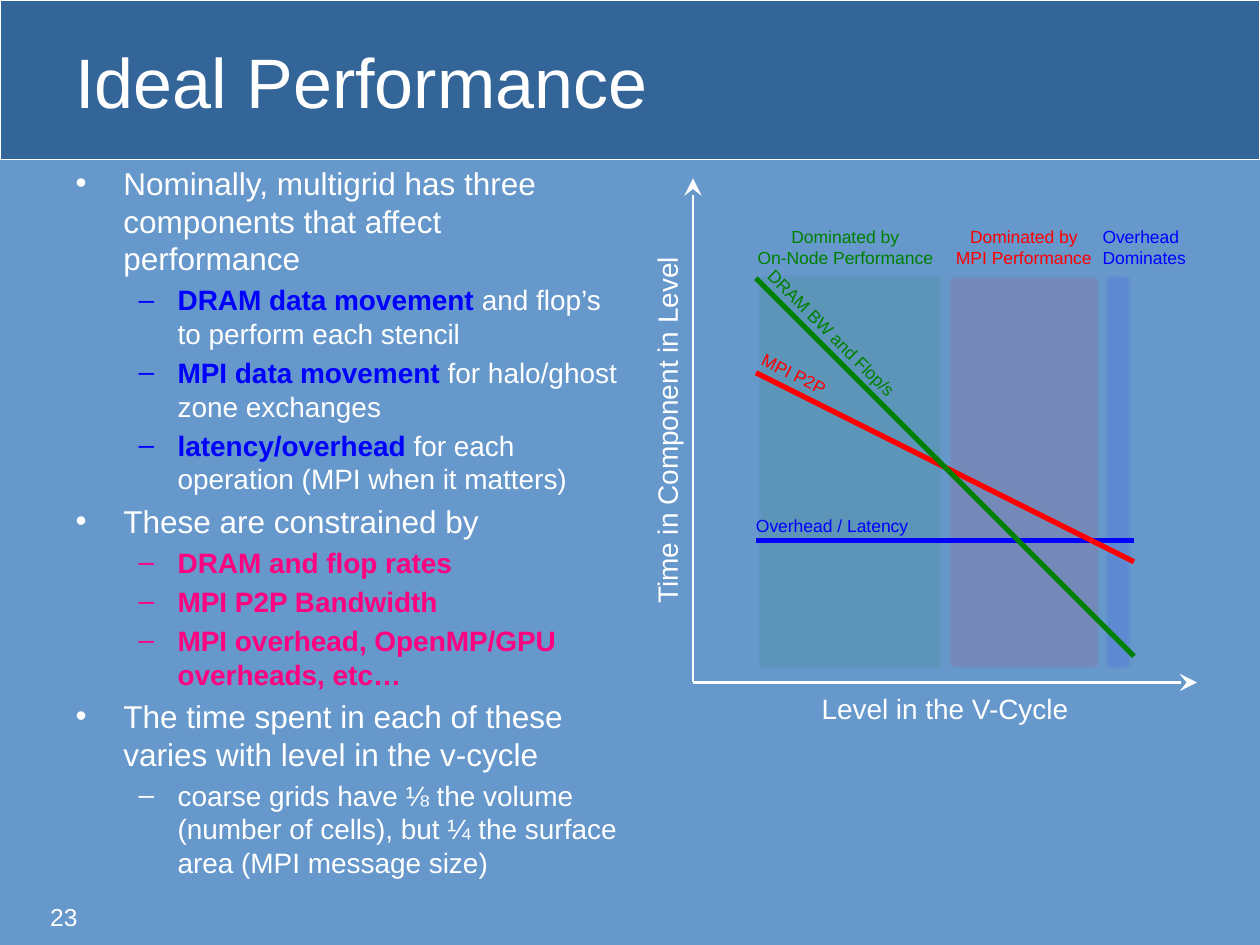
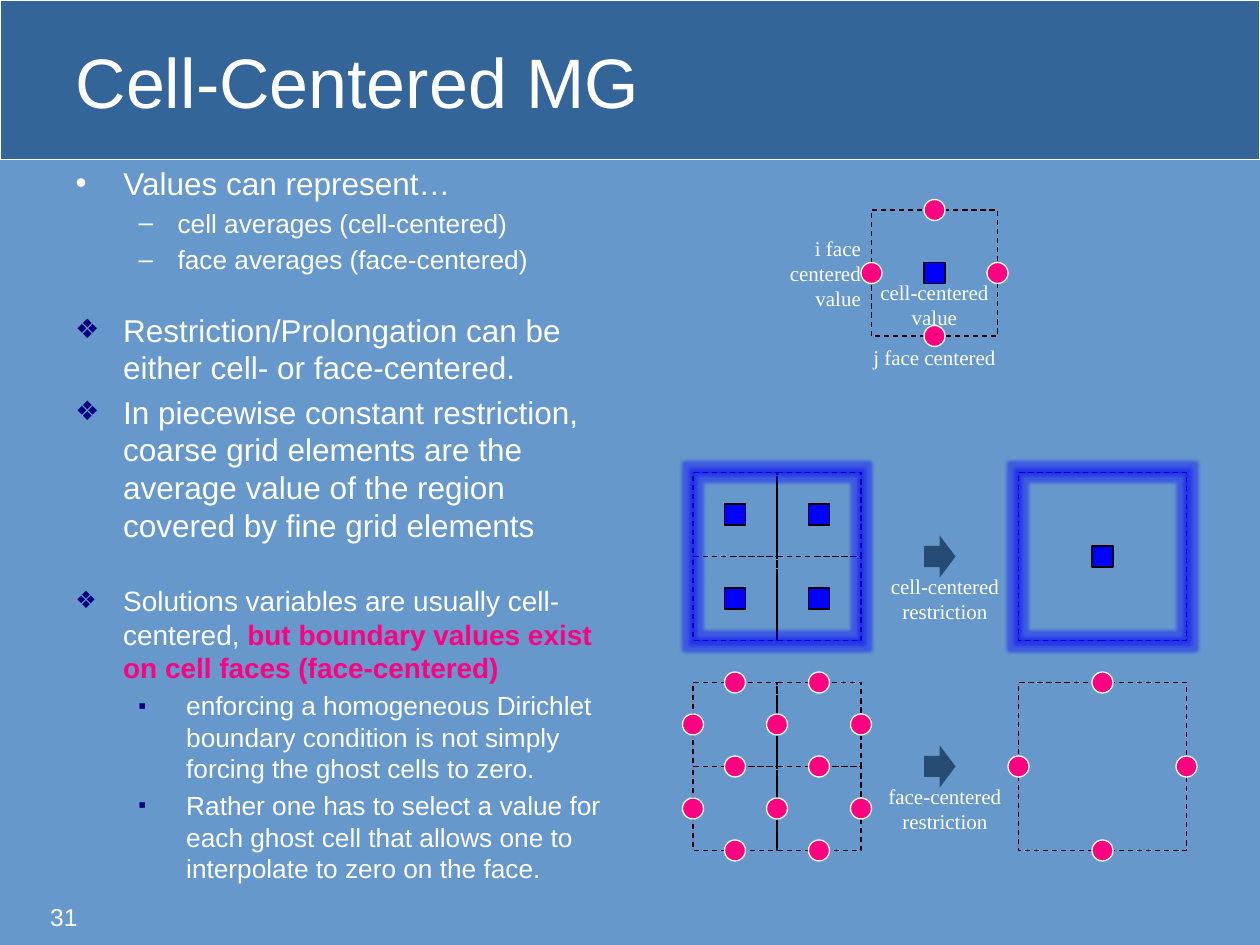
from lxml.etree import SubElement
from pptx import Presentation
from pptx.dml.color import RGBColor
from pptx.enum.dml import MSO_LINE
from pptx.enum.shapes import MSO_CONNECTOR, MSO_SHAPE as SHAPE
from pptx.enum.text import MSO_ANCHOR, MSO_AUTO_SIZE, PP_ALIGN as ALIGN
from pptx.oxml.ns import qn
from pptx.util import Inches, Pt

COLORS = {
    "sky": "6698CC", "header": "336599", "white": "FFFFFF", "black": "000000",
    "blue": "0000FF", "red": "FF0000", "green": "008000", "pink": "FF0080",
    "navy": "000080", "arrow": "264C73",
}
RGB = {name: RGBColor.from_string(value) for name, value in COLORS.items()}
SANS, SERIF = "Arial", "Times New Roman"
BULLETS = {
    "•": (0.38, 0.38, None, 100),
    "–": (0.81, 0.31, None, 100),
    "❖": (0.38, 0.38, "navy", 85),
    "▪": (0.88, 0.38, "navy", 85),
}

prs = Presentation()
prs.slide_width, prs.slide_height = Inches(10), Inches(7.5)
CELL = prs.slide_width / 120


def add_figure(slide, kind, x, y, w, h, fill=None, line=None, dash=None):
    figure = slide.shapes.add_shape(kind, *(round(v * CELL) for v in (x, y, w, h)))
    figure.shadow.inherit = False
    if fill:
        figure.fill.solid()
        figure.fill.fore_color.rgb = RGB[fill]
    else:
        figure.fill.background()
    if line:
        figure.line.color.rgb = RGB[line]
        figure.line.width = Pt(0.75)
        if dash:
            figure.line.dash_style = dash
    else:
        figure.line.fill.background()
    return figure


def write_list(frame, items):
    frame.word_wrap = True
    frame.auto_size = MSO_AUTO_SIZE.NONE
    for number, (bullet, size, *parts) in enumerate(items):
        paragraph = frame.paragraphs[0] if number == 0 else frame.add_paragraph()
        margin, hanging, bullet_color, scale = BULLETS[bullet]
        paragraph.level = 1 if bullet in "–▪" else 0
        paragraph.space_before = Pt(round(size * 0.2, 1))
        props = paragraph._p.get_or_add_pPr()
        props.set("marL", str(Inches(margin)))
        props.set("indent", str(-Inches(hanging)))
        tint = SubElement(props, qn("a:buClr"))
        SubElement(tint, qn("a:srgbClr"), val=COLORS[bullet_color or parts[0][1]])
        SubElement(props, qn("a:buSzPct"), val=str(scale * 1000))
        SubElement(props, qn("a:buFont"), typeface=SANS)
        SubElement(props, qn("a:buChar"), char=bullet)
        paragraph.font.name, paragraph.font.size = SANS, Pt(size)
        for text, color in parts:
            run = paragraph.add_run()
            run.text = text
            run.font.color.rgb = RGB[color]
            run.font.bold = color != "white"


prs.slide_master.background.fill.solid()
prs.slide_master.background.fill.fore_color.rgb = RGB["sky"]

performance_points = [
    ("•", 18, ("Nominally, multigrid has three components that affect performance", "white")),
    ("–", 16, ("DRAM data movement ", "blue"), ("and flop’s to perform each stencil", "white")),
    ("–", 16, ("MPI data movement ", "blue"), ("for halo/ghost zone exchanges", "white")),
    ("–", 16, ("latency/overhead ", "blue"), ("for each operation (MPI when it matters)", "white")),
    ("•", 18, ("These are constrained by", "white")),
    ("–", 16, ("DRAM and flop rates", "pink")),
    ("–", 16, ("MPI P2P Bandwidth", "pink")),
    ("–", 16, ("MPI overhead, OpenMP/GPU overheads, etc…", "pink")),
    ("•", 18, ("The time spent in each of these varies with level in the v-cycle", "white")),
    ("–", 16, ("coarse grids have ⅛ the volume (number of cells), but ¼ the surface area "
               "(MPI message size)", "white")),
]
value_points = [
    ("•", 18, ("Values can represent…", "white")),
    ("–", 15, ("cell averages (cell-centered)", "white")),
    ("–", 15, ("face averages (face-centered)", "white")),
]
restriction_points = [
    ("❖", 18, ("Restriction/Prolongation can be either cell- or face-centered.", "white")),
    ("❖", 18, ("In piecewise constant restriction, coarse grid elements are the average value "
               "of the region covered by fine grid elements", "white")),
]
boundary_points = [
    ("❖", 16, ("Solutions variables are usually cell-centered, ", "white"),
     ("but boundary values exist on cell faces (face-centered)", "pink")),
    ("▪", 15, ("enforcing a homogeneous Dirichlet boundary condition is not simply forcing "
               "the ghost cells to zero.", "white")),
    ("▪", 15, ("Rather one has to select a value for each ghost cell that allows one to "
               "interpolate to zero on the face.", "white")),
]

slides = []
for heading, page, points, body_rows in [
    ("Ideal Performance", "23", performance_points, 69),
    ("Cell-Centered MG", "31", value_points, 17),
]:
    slide = prs.slides.add_slide(prs.slide_layouts[1])
    slides.append(slide)
    title, body = slide.placeholders
    header = add_figure(slide, SHAPE.RECTANGLE, 0, 0, 120, 15.2, "header", "white")
    title.element.addprevious(header.element)
    number = slide.shapes.add_textbox(0, 0, 0, 0)
    for box, (x, y, w, h) in [
        (title, (6, 2.5, 106.4, 10.4)),
        (body, (6, 15, 54, body_rows)),
        (number, (3.6, 85.3, 28, 3.7)),
    ]:
        box.left, box.top, box.width, box.height = (round(v * CELL) for v in (x, y, w, h))
    for box, text, size in [(title, heading, 40), (number, page, 14)]:
        box.text_frame.text = text
        box.text_frame.word_wrap = True
        box.text_frame.auto_size = MSO_AUTO_SIZE.NONE
        paragraph = box.text_frame.paragraphs[0]
        paragraph.alignment = ALIGN.LEFT
        paragraph.font.name, paragraph.font.size = SANS, Pt(size)
        paragraph.font.color.rgb = RGB["white"]
    title.text_frame.vertical_anchor = MSO_ANCHOR.MIDDLE
    write_list(body.text_frame, points)

ideal, centered = slides

for x, w, color in [(72, 18, "green"), (90, 15, "red"), (105, 3, "blue")]:
    regime = add_figure(ideal, SHAPE.RECTANGLE, x, 26, w, 38, color)
    SubElement(next(regime.element.iter(qn("a:srgbClr"))), qn("a:alpha"), val="10000")
    SubElement(next(regime.element.iter(qn("a:effectLst"))), qn("a:softEdge"), rad="25400")

for slide, x1, y1, x2, y2, color, weight, role in [
    (ideal, 66, 65, 66, 17, "white", 1.5, "axis"),
    (ideal, 66, 65, 114, 65, "white", 1.5, "axis"),
    (ideal, 72, 51.5, 108, 51.5, "blue", 3, "trend"),
    (ideal, 72, 35.5, 108, 53.5, "red", 3, "trend"),
    (ideal, 72, 26.5, 108, 62.5, "green", 3, "trend"),
    (centered, 66, 65, 66, 81, "pink", 0.75, "boundary"),
    (centered, 97, 65, 97, 81, "pink", 0.75, "boundary"),
]:
    ends = (round(v * CELL) for v in (x1, y1, x2, y2))
    connector = slide.shapes.add_connector(MSO_CONNECTOR.STRAIGHT, *ends)
    connector.line.color.rgb = RGB[color]
    connector.line.width = Pt(weight)
    if role == "axis":
        SubElement(next(connector.element.iter(qn("a:ln"))), qn("a:tailEnd"),
                   type="stealth", w="lg", len="lg")
    if role == "boundary":
        SubElement(next(connector.element.iter(qn("a:srgbClr"))), qn("a:alpha"), val="25000")
    SubElement(connector.element.find(qn("p:spPr")), qn("a:effectLst"))

chart_style = (ideal, SANS, 10)
axis_style = (ideal, SANS, 16)
grid_style = (centered, SERIF, 12)
for (slide, font, size), x, y, w, h, text, color, align, turn in [
    (chart_style, 72, 22, 17, 3, "Dominated by\nOn-Node Performance", "green", ALIGN.CENTER, 0),
    (chart_style, 90, 22, 15, 3, "Dominated by\nMPI Performance", "red", ALIGN.CENTER, 0),
    (chart_style, 105, 22, 9, 3, "Overhead\nDominates", "blue", ALIGN.LEFT, 0),
    (axis_style, 66, 66, 48, 3, "Level in the V-Cycle", "white", ALIGN.CENTER, 0),
    (axis_style, 39.5, 39.5, 48, 3, "Time in Component in Level", "white", ALIGN.CENTER, 270),
    (chart_style, 72, 48.5, 36, 3, "Overhead / Latency", "blue", ALIGN.LEFT, 0),
    (chart_style, 70.8, 40.7, 36, 3, "MPI P2P", "red", ALIGN.LEFT, 26.6),
    (chart_style, 68.2, 37.2, 36, 3, "DRAM BW and Flop/s", "green", ALIGN.LEFT, 44.9),
    (grid_style, 83, 27, 12, 4, "cell-centered\nvalue", "white", ALIGN.CENTER, 0),
    (grid_style, 83, 33, 12, 2, "j face centered", "white", ALIGN.CENTER, 0),
    (grid_style, 70, 25, 12, 2, "i face\ncentered\nvalue", "white", ALIGN.RIGHT, 0),
    (grid_style, 84, 56, 12, 2, "cell-centered\nrestriction", "white", ALIGN.CENTER, 0),
    (grid_style, 84, 76, 12, 2, "face-centered\nrestriction", "white", ALIGN.CENTER, 0),
]:
    label = slide.shapes.add_textbox(*(round(v * CELL) for v in (x, y, w, h)))
    label.rotation = turn
    frame = label.text_frame
    frame.text = text
    frame.word_wrap = False
    frame.vertical_anchor = MSO_ANCHOR.MIDDLE
    frame.margin_left = frame.margin_right = frame.margin_top = frame.margin_bottom = 0
    for paragraph in frame.paragraphs:
        paragraph.alignment = align
        paragraph.font.name, paragraph.font.size = font, Pt(size)
        paragraph.font.color.rgb = RGB[color]

fine_cells = [(x, y, 8) for y in (45, 53, 65, 73) for x in (66, 74)]
coarse_cells = [(97, 45, 16), (97, 65, 16)]
for x, y, side in [(83, 20, 12)] + fine_cells + coarse_cells:
    add_figure(centered, SHAPE.RECTANGLE, x, y, side, side, line="black", dash=MSO_LINE.DASH)

cell_values = [(89, 26), (105, 53)] + [(x, y) for x in (70, 78) for y in (49, 57)]
for x, y in cell_values:
    add_figure(centered, SHAPE.RECTANGLE, x - 1, y - 1, 2, 2, "blue", "black")

face_values = [(89, 20), (89, 32), (83, 26), (95, 26)]
face_values += [(x, y) for x in (70, 78) for y in (65, 73, 81)]
face_values += [(x, y) for x in (66, 74, 82) for y in (69, 77)]
face_values += [(105, 65), (105, 81), (97, 73), (113, 73)]
for x, y in face_values:
    add_figure(centered, SHAPE.OVAL, x - 1, y - 1, 2, 2, "pink", "white")

for y in (51, 71):
    add_figure(centered, SHAPE.RIGHT_ARROW, 88, y, 3, 4, "arrow")

for y, h, points in [(55, 30, boundary_points), (29, 22, restriction_points)]:
    notes = centered.shapes.add_textbox(*(round(v * CELL) for v in (6, y, 54, h)))
    write_list(notes.text_frame, points)

for x in (66, 97):
    region = add_figure(centered, SHAPE.RECTANGLE, x, 45, 16, 16, line="blue")
    SubElement(next(region.element.iter(qn("a:srgbClr"))), qn("a:alpha"), val="25000")
    glow = SubElement(next(region.element.iter(qn("a:effectLst"))), qn("a:glow"), rad="50800")
    glow_color = SubElement(glow, qn("a:srgbClr"), val=COLORS["blue"])
    SubElement(glow_color, qn("a:alpha"), val="40000")

prs.save("out.pptx")
